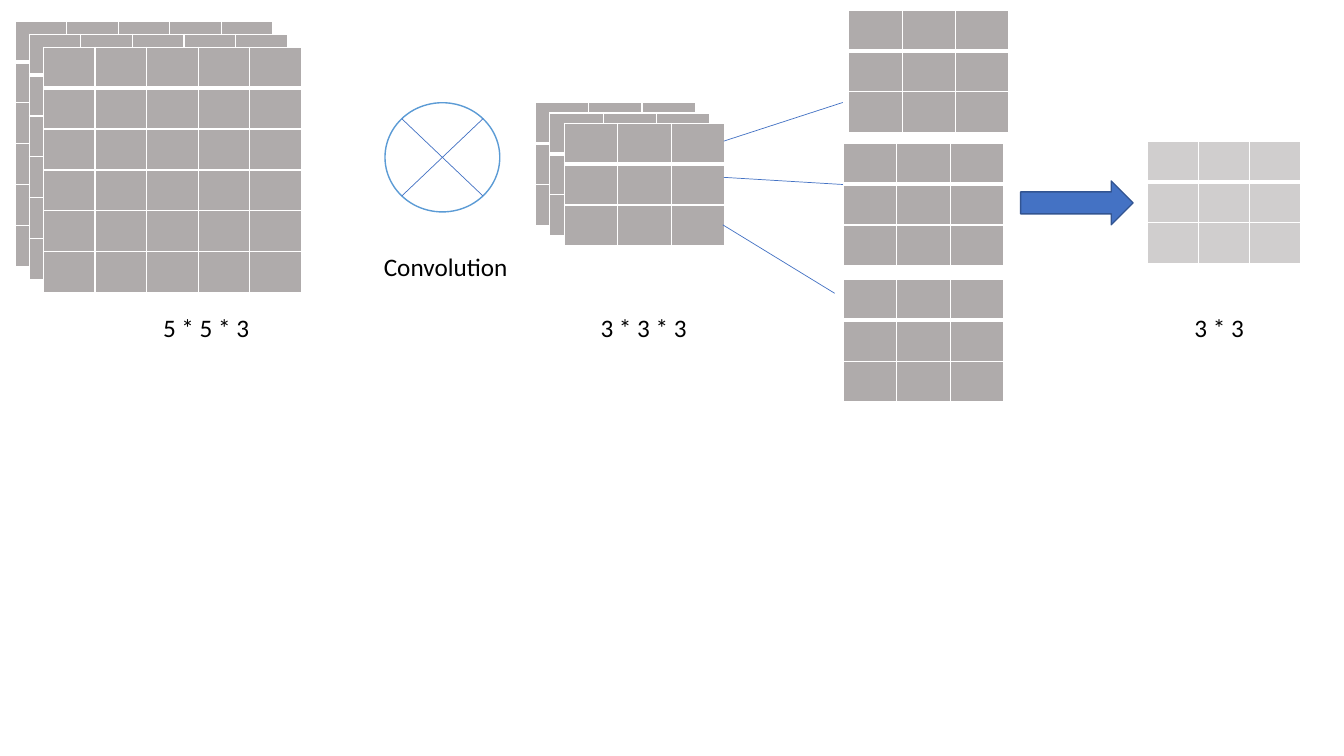
"""Draw a three-channel convolution: input, filter, per-channel maps and result."""
from dataclasses import dataclass
from math import sqrt

from lxml.etree import SubElement
from pptx import Presentation
from pptx.dml.color import RGBColor as Rgb
from pptx.enum.shapes import MSO_CONNECTOR as Connector, MSO_SHAPE as Preset
from pptx.enum.text import MSO_AUTO_SIZE as AutoSize
from pptx.oxml.ns import qn
from pptx.slide import Slide
from pptx.util import Pt


@dataclass(frozen=True)
class Theme:
    font: str = "Calibri"
    label_size: float = 18
    text: str = "000000"
    paper: str = "FFFFFF"
    channel: str = "AFABAB"
    result: str = "D0CECE"
    accent: str = "4472C4"
    arrow_edge: str = "325491"
    ring: str = "5B9BD5"
    grid_line: float = 1
    header_line: float = 3
    outline: float = 1
    ray_line: float = 0.5


@dataclass(frozen=True)
class Grid:
    left: float
    top: float
    rows: int
    cols: int
    col_width: float
    fill: str
    row_height: float = 29.2


@dataclass(frozen=True)
class Label:
    text: str
    left: float
    top: float
    width: float = 152


@dataclass(frozen=True)
class Ray:
    x1: float
    y1: float
    x2: float
    y2: float


@dataclass(frozen=True)
class Figure:
    preset: Preset
    left: float
    top: float
    width: float
    height: float
    fill: str
    edge: str


THEME = Theme()
DEPTH = 3

INPUT_CHANNELS = [
    Grid(10.8 + 10.1 * i, 15.1 + 9.35 * i, 6, 5, 36.86, THEME.channel) for i in range(DEPTH)
]
FILTER_CHANNELS = [
    Grid(382.3 + 10.4 * i, 73.4 + 7.3 * i, 3, 3, 38.16, THEME.channel) for i in range(DEPTH)
]
CHANNEL_MAPS = [
    Grid(left, top, 3, 3, 38.16, THEME.channel)
    for left, top in [(606.3, 7.1), (602.4, 102.4), (602.4, 199.6)]
]
RESULT = Grid(819.4, 100.8, 3, 3, 36.48, THEME.result)

OPERATOR = Figure(Preset.OVAL, 275, 73.4, 82, 78, THEME.paper, THEME.ring)
RESULT_ARROW = Figure(Preset.RIGHT_ARROW, 729, 129.3, 80.4, 31.3, THEME.accent, THEME.arrow_edge)

LABELS = [
    Label("Convolution", 267.1, 175.7),
    Label("5 * 5 * 3", 109.4, 219.2),
    Label("3 * 3 * 3", 421.9, 219.2),
    Label("3 * 3", 846.1, 219.2, 112),
]
FILTER_RAYS = [
    Ray(517, 100.8, 602, 73.2),
    Ray(517, 126.7, 602, 131.8),
    Ray(516.3, 160.6, 596.2, 209.5),
]


def add_cell_borders(cell, row: int) -> None:
    for side in "LRTB":
        is_header_edge = (row, side) in ((0, "B"), (1, "T"))
        width = THEME.header_line if is_header_edge else THEME.grid_line
        border = SubElement(cell._tc.get_or_add_tcPr(), qn(f"a:ln{side}"), w=str(Pt(width)))
        paint = SubElement(border, qn("a:solidFill"))
        SubElement(paint, qn("a:srgbClr"), val=THEME.paper)


def add_grid(slide: Slide, grid: Grid) -> None:
    table = slide.shapes.add_table(
        grid.rows, grid.cols, Pt(grid.left), Pt(grid.top),
        Pt(grid.cols * grid.col_width), Pt(grid.rows * grid.row_height),
    ).table
    table.first_row = table.horz_banding = False
    for column in table.columns:
        column.width = Pt(grid.col_width)
    for index, row in enumerate(table.rows):
        row.height = Pt(grid.row_height)
        for cell in row.cells:
            add_cell_borders(cell, index)
            cell.fill.solid()
            cell.fill.fore_color.rgb = Rgb.from_string(grid.fill)


def add_figure(slide: Slide, figure: Figure) -> None:
    shape = slide.shapes.add_shape(
        figure.preset, Pt(figure.left), Pt(figure.top), Pt(figure.width), Pt(figure.height)
    )
    shape.shadow.inherit = False
    shape.fill.solid()
    shape.fill.fore_color.rgb = Rgb.from_string(figure.fill)
    shape.line.color.rgb = Rgb.from_string(figure.edge)
    shape.line.width = Pt(THEME.outline)


def add_ray(slide: Slide, ray: Ray) -> None:
    line = slide.shapes.add_connector(
        Connector.STRAIGHT, Pt(ray.x1), Pt(ray.y1), Pt(ray.x2), Pt(ray.y2)
    )
    line.line.color.rgb = Rgb.from_string(THEME.accent)
    line.line.width = Pt(THEME.ray_line)
    SubElement(line._element.spPr, qn("a:effectLst"))


def add_label(slide: Slide, label: Label) -> None:
    frame = slide.shapes.add_textbox(
        Pt(label.left), Pt(label.top), Pt(label.width), Pt(29)
    ).text_frame
    frame.word_wrap = True
    frame.auto_size = AutoSize.SHAPE_TO_FIT_TEXT
    frame.text = label.text
    font = frame.paragraphs[0].runs[0].font
    font.name = THEME.font
    font.size = Pt(THEME.label_size)
    font.color.rgb = Rgb.from_string(THEME.text)


def operator_cross(ring: Figure) -> list[Ray]:
    center_x, center_y = ring.left + ring.width / 2, ring.top + ring.height / 2
    reach_x, reach_y = (size / 2 / sqrt(2) for size in (ring.width, ring.height))
    return [
        Ray(center_x - side * reach_x, center_y - reach_y,
            center_x + side * reach_x, center_y + reach_y)
        for side in (1, -1)
    ]


def main() -> None:
    deck = Presentation()
    deck.slide_width, deck.slide_height = Pt(960), Pt(540)
    slide = deck.slides.add_slide(deck.slide_layouts[6])
    for grid in [*INPUT_CHANNELS, *FILTER_CHANNELS, *CHANNEL_MAPS, RESULT]:
        add_grid(slide, grid)
    for figure in (OPERATOR, RESULT_ARROW):
        add_figure(slide, figure)
    for ray in [*operator_cross(OPERATOR), *FILTER_RAYS]:
        add_ray(slide, ray)
    for label in LABELS:
        add_label(slide, label)
    deck.save("out.pptx")


if __name__ == "__main__":
    main()
